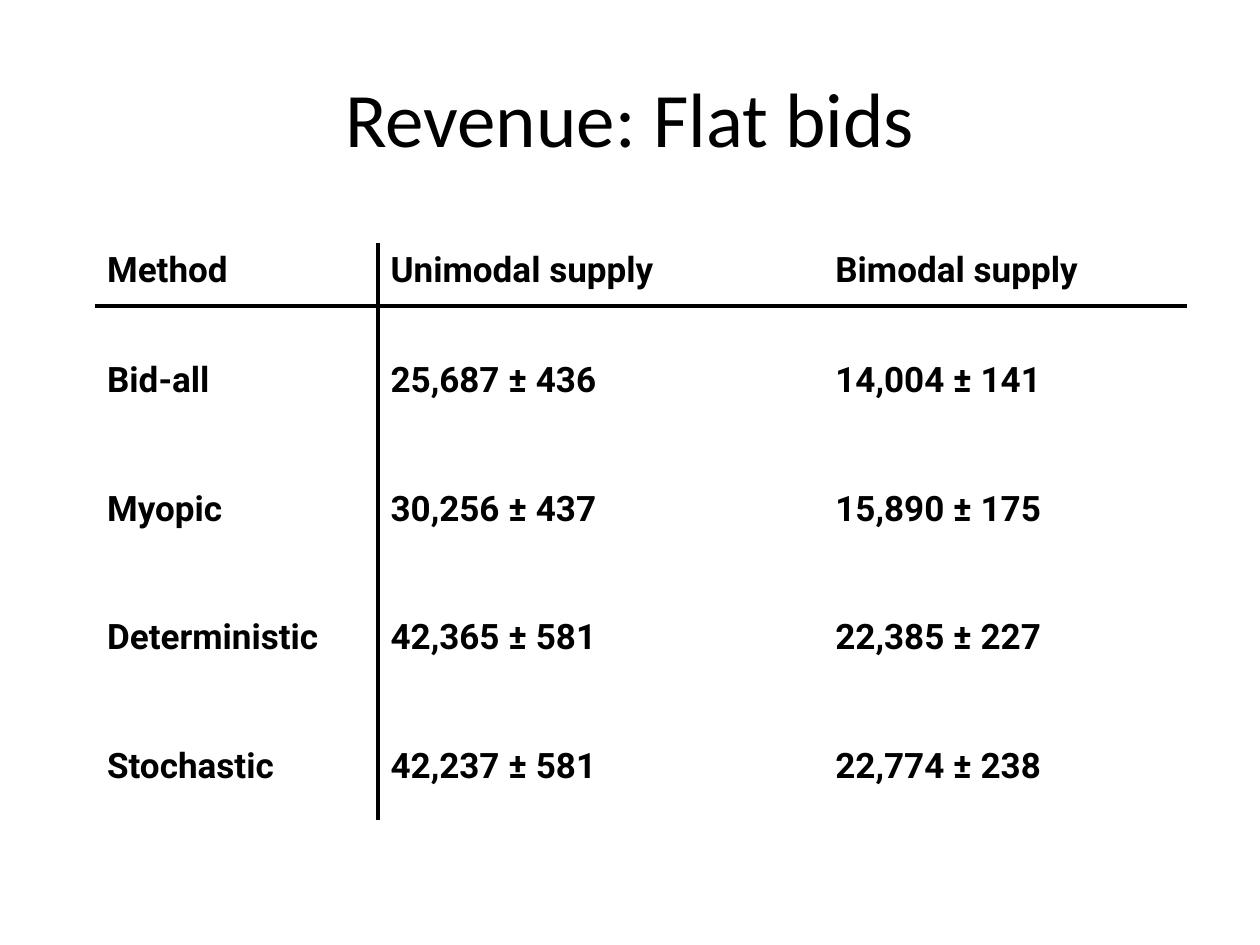
from lxml import etree
from pptx import Presentation
from pptx.dml.color import RGBColor
from pptx.enum import text
from pptx.oxml.ns import qn
from pptx.util import Inches, Pt

BLACK = "000000"
RULE_WIDTH = Pt(2.25)
COLUMN_WIDTHS = (2.25, 3.53, 2.89)
HEADER_HEIGHT, BODY_HEIGHT = 0.5, 1.02
HEADER_INSET, BODY_INSET = 0.05, 0.43
REVENUES = (
    ("Method", "Unimodal supply", "Bimodal supply"),
    ("Bid-all", "25,687 ± 436", "14,004 ± 141"),
    ("Myopic", "30,256 ± 437", "15,890 ± 175"),
    ("Deterministic", "42,365 ± 581", "22,385 ± 227"),
    ("Stochastic", "42,237 ± 581", "22,774 ± 238"),
)


def rgb(color):
    return RGBColor.from_string(color)


def write(frame, words, *, font, size, color=BLACK, bold=False,
          align=text.PP_ALIGN.LEFT):
    paragraph = frame.paragraphs[0]
    paragraph.alignment = align
    run = paragraph.add_run()
    run.text = words
    run.font.name = font
    run.font.size = Pt(size)
    run.font.bold = bold
    run.font.color.rgb = rgb(color)


def add_title(slide, words):
    title = slide.shapes.add_textbox(
        Inches(0.5), Inches(0.3), Inches(9), Inches(1.25))
    title.text_frame.word_wrap = True
    title.text_frame.vertical_anchor = text.MSO_ANCHOR.MIDDLE
    write(title.text_frame, words, font="Calibri", size=44,
          align=text.PP_ALIGN.CENTER)


def set_borders(cell, ruled):
    """Rule the named sides (of L, R, T, B) and leave the others bare."""
    properties = cell._tc.get_or_add_tcPr()
    for side in "LRTB":
        line = etree.SubElement(properties, qn(f"a:ln{side}"))
        if side in ruled:
            line.set("w", str(RULE_WIDTH))
            fill = etree.SubElement(line, qn("a:solidFill"))
            etree.SubElement(fill, qn("a:srgbClr")).set("val", BLACK)
        else:
            etree.SubElement(line, qn("a:noFill"))


def ruled_sides(row, column):
    """One rule runs under the header, one right of the method names."""
    across = {0: "B", 1: "T"}.get(row, "")
    down = {0: "R", 1: "L"}.get(column, "")
    return across + down


def add_revenue_table(slide, rows):
    height = HEADER_HEIGHT + BODY_HEIGHT * (len(rows) - 1)
    table = slide.shapes.add_table(
        len(rows), len(COLUMN_WIDTHS), Inches(0.75), Inches(1.93),
        Inches(sum(COLUMN_WIDTHS)), Inches(height)).table
    table.first_row = False
    table.horz_banding = False
    for column, width in zip(table.columns, COLUMN_WIDTHS):
        column.width = Inches(width)
    for r, values in enumerate(rows):
        table.rows[r].height = Inches(BODY_HEIGHT if r else HEADER_HEIGHT)
        for c, value in enumerate(values):
            cell = table.cell(r, c)
            cell.margin_top = Inches(BODY_INSET if r else HEADER_INSET)
            set_borders(cell, ruled_sides(r, c))
            cell.fill.background()
            write(cell.text_frame, value, font="Roboto", size=20, bold=True)


def main():
    deck = Presentation()
    deck.slide_width, deck.slide_height = Inches(10), Inches(7.5)
    slide = deck.slides.add_slide(deck.slide_layouts[6])
    add_title(slide, "Revenue: Flat bids")
    add_revenue_table(slide, REVENUES)
    deck.save("out.pptx")


if __name__ == "__main__":
    main()
